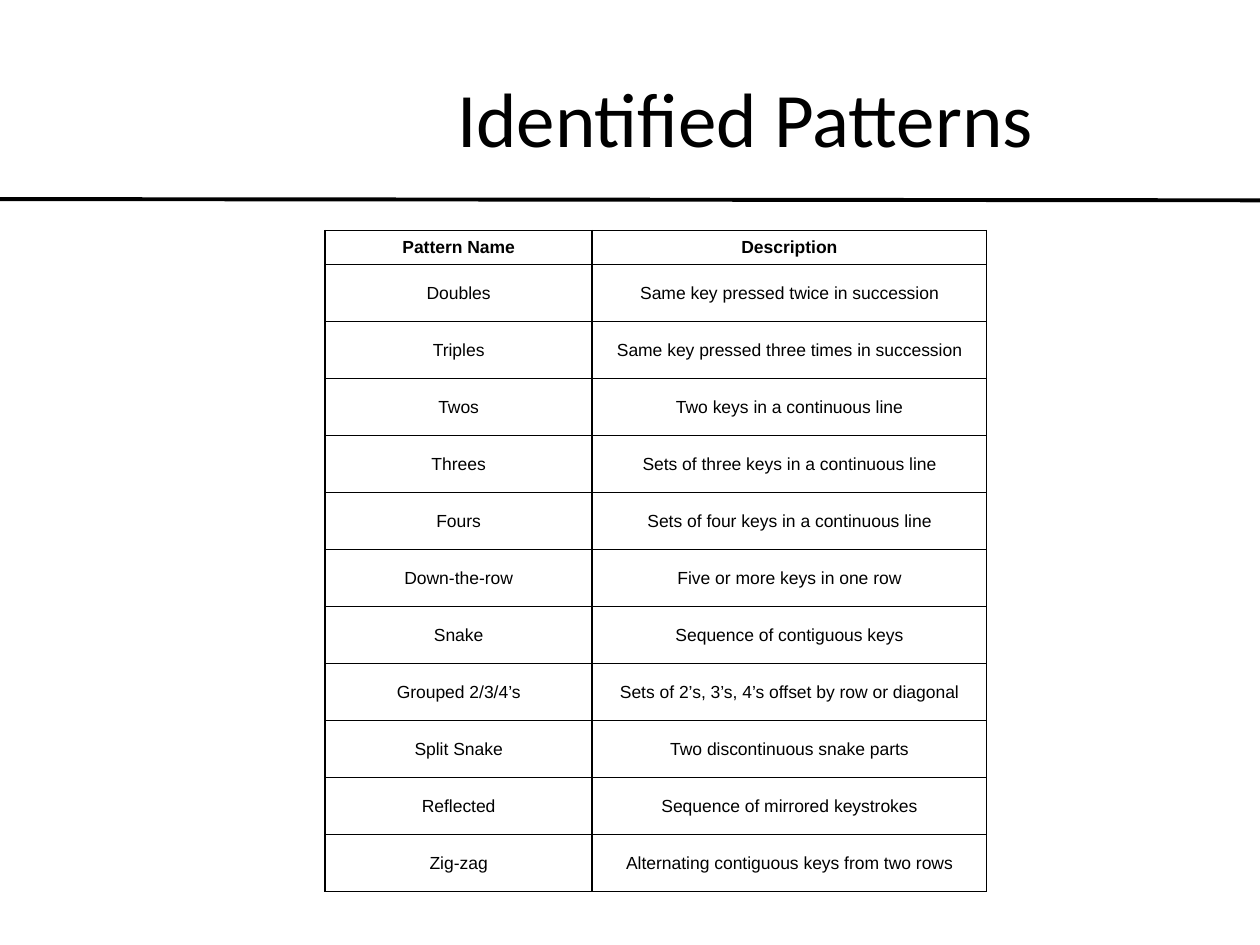
from lxml import etree
from pptx import Presentation
from pptx.dml.color import RGBColor
from pptx.enum.shapes import MSO_CONNECTOR
from pptx.enum.text import MSO_ANCHOR, PP_ALIGN
from pptx.oxml.ns import qn
from pptx.util import Inches, Pt

STRAIGHT = MSO_CONNECTOR.STRAIGHT
MIDDLE = MSO_ANCHOR.MIDDLE
CENTER = PP_ALIGN.CENTER

PATTERNS = [
    ("Pattern Name", "Description"),
    ("Doubles", "Same key pressed twice in succession"),
    ("Triples", "Same key pressed three times in succession"),
    ("Twos", "Two keys in a continuous line"),
    ("Threes", "Sets of three keys in a continuous line"),
    ("Fours", "Sets of four keys in a continuous line"),
    ("Down-the-row", "Five or more keys in one row"),
    ("Snake", "Sequence of contiguous keys"),
    ("Grouped 2/3/4’s", "Sets of 2’s, 3’s, 4’s offset by row or diagonal"),
    ("Split Snake", "Two discontinuous snake parts"),
    ("Reflected", "Sequence of mirrored keystrokes"),
    ("Zig-zag", "Alternating contiguous keys from two rows"),
]


def color(hex_code):
    return RGBColor.from_string(hex_code)


class SlideBuilder:
    ink = "000000"
    title_font = "Calibri"
    table_font = "Arial"

    def __init__(self, slide):
        self.slide = slide

    def style(self, paragraph, font_name, size, bold=False):
        paragraph.alignment = CENTER
        font = paragraph.font
        font.name, font.size, font.bold = font_name, Pt(size), bold
        font.color.rgb = color(self.ink)

    def rule(self, x1, y1, x2, y2, width):
        line = self.slide.shapes.add_connector(
            STRAIGHT, Inches(x1), Inches(y1), Inches(x2), Inches(y2))
        line.line.color.rgb = color(self.ink)
        line.line.width = Pt(width)
        etree.SubElement(line._element.spPr, qn("a:effectLst"))

    def title(self, text, left, top, width, height):
        frame = self.slide.shapes.add_textbox(
            Inches(left), Inches(top), Inches(width), Inches(height)).text_frame
        frame.word_wrap = True
        frame.vertical_anchor = MIDDLE
        frame.text = text
        self.style(frame.paragraphs[0], self.title_font, 44)

    def border(self, cell, width):
        """Draw all four edges of a cell."""
        properties = cell._tc.get_or_add_tcPr()
        for position, side in enumerate(("lnL", "lnR", "lnT", "lnB")):
            edge = etree.Element(qn(f"a:{side}"), w=str(Pt(width)))
            fill = etree.SubElement(edge, qn("a:solidFill"))
            etree.SubElement(fill, qn("a:srgbClr"), val=self.ink)
            properties.insert(position, edge)

    def table(self, rows, left, top, column_widths, header_height, row_height):
        heights = [header_height] + [row_height] * (len(rows) - 1)
        table = self.slide.shapes.add_table(
            len(rows), len(column_widths), Inches(left), Inches(top),
            Inches(sum(column_widths)), Inches(sum(heights))).table
        table.first_row = table.horz_banding = False
        for column, width in zip(table.columns, column_widths):
            column.width = Inches(width)
        for r, (texts, height) in enumerate(zip(rows, heights)):
            table.rows[r].height = Inches(height)
            for c, text in enumerate(texts):
                cell = table.cell(r, c)
                cell.text = text
                cell.fill.background()
                cell.vertical_anchor = MIDDLE
                cell.margin_left = cell.margin_right = Inches(0.06)
                cell.margin_top = cell.margin_bottom = 0
                self.style(cell.text_frame.paragraphs[0], self.table_font, 10, bold=r == 0)
                self.border(cell, 1)


def main():
    deck = Presentation()
    deck.slide_width, deck.slide_height = Inches(10), Inches(7.5)
    builder = SlideBuilder(deck.slides.add_slide(deck.slide_layouts[6]))
    builder.rule(0, 1.58, 10, 1.59, 2.25)
    builder.title("Identified Patterns", 2.33, 0.3, 7.17, 1.25)
    builder.table(PATTERNS, 2.58, 1.83, (2.12, 3.13), 0.27, 0.4525)
    deck.save("out.pptx")


if __name__ == "__main__":
    main()
